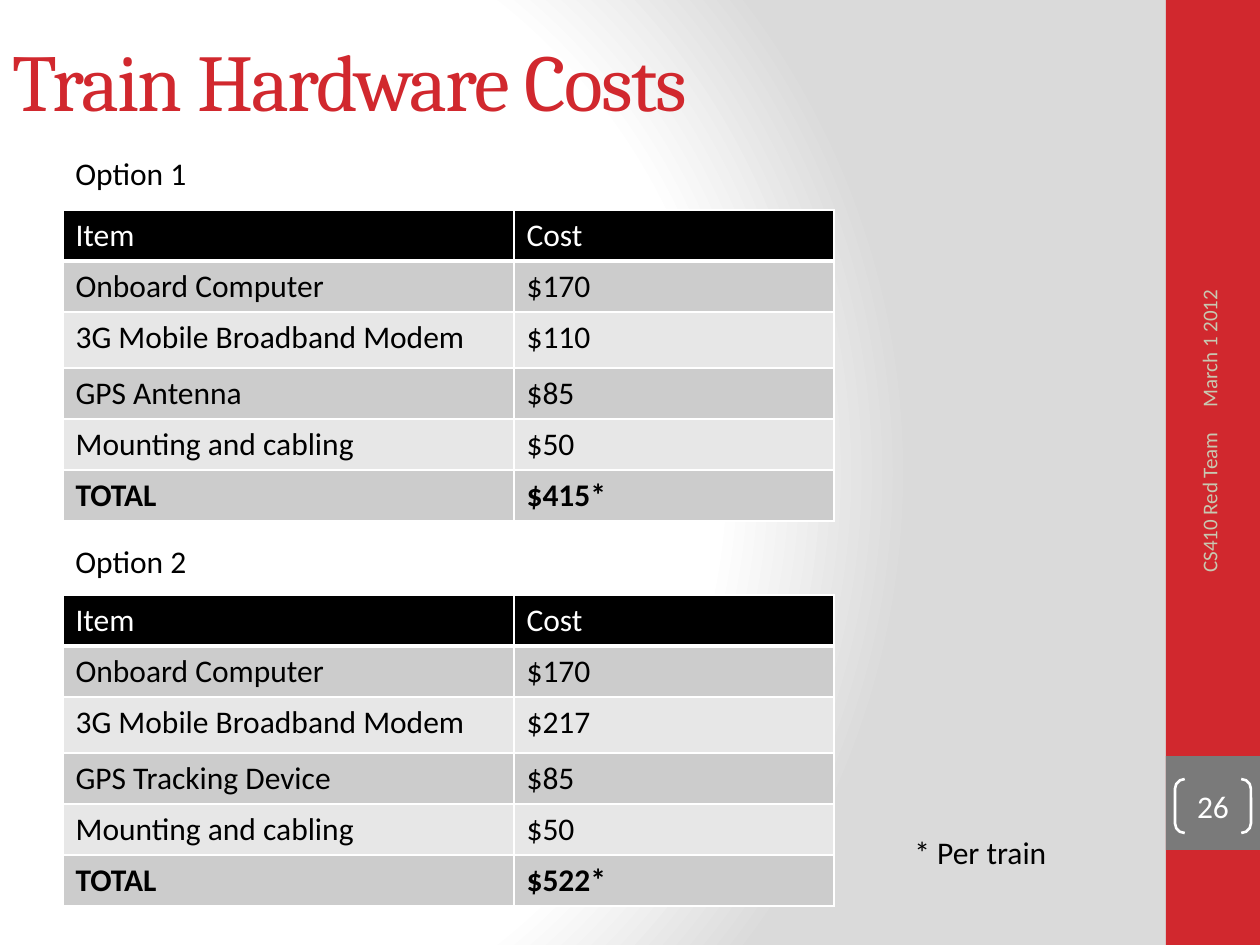
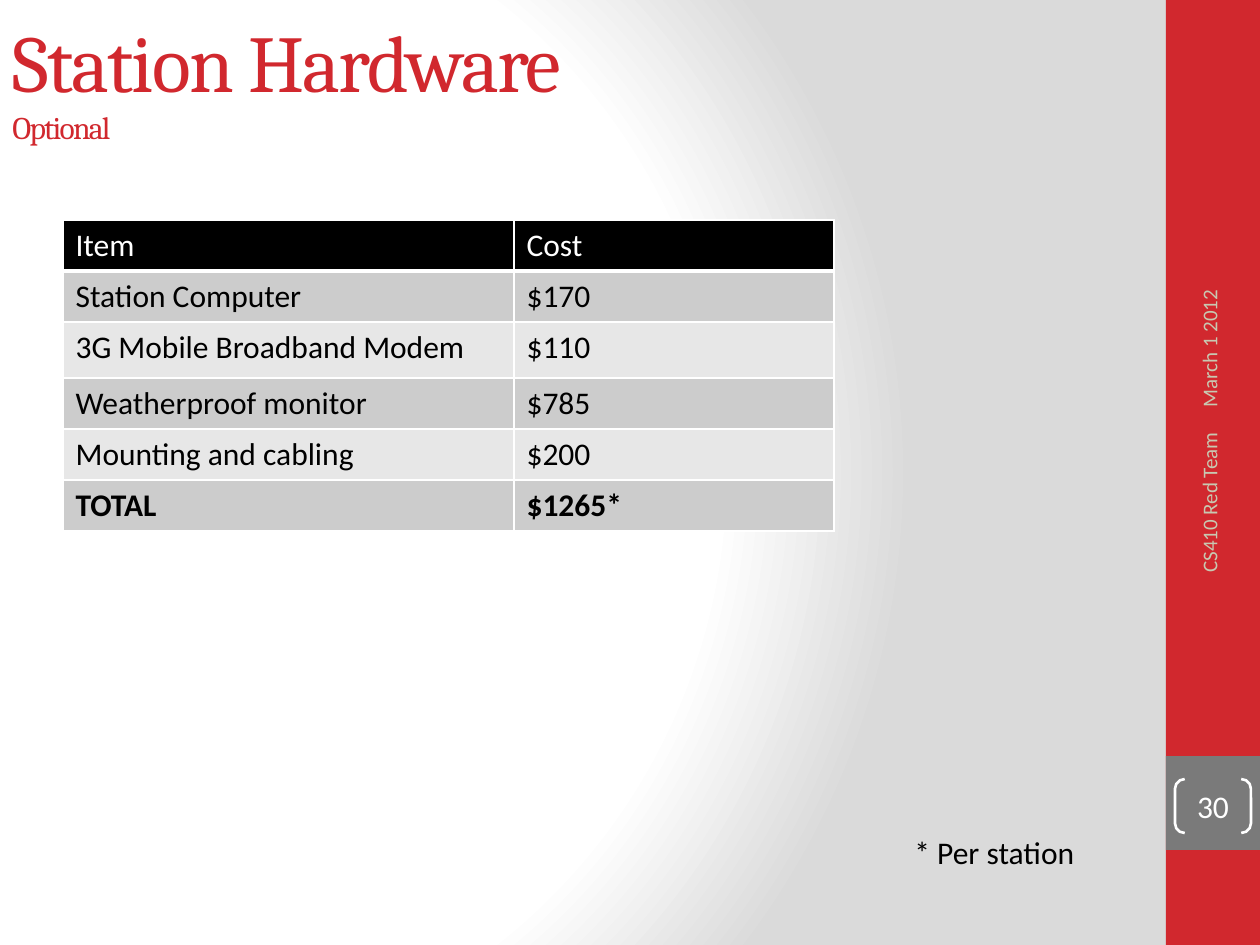
import lxml.etree
import pptx
import pptx.dml.color
import pptx.enum.shapes
import pptx.enum.text
import pptx.oxml.ns
import pptx.util

EMU_PER_PX = 914400 / 126
RED, GREY, BEIGE = "D1282E", "7A7A7A", "C8C8B1"
WHITE, BLACK = "FFFFFF", "000000"
ROW_FILLS = ["CCCCCC", "E7E7E7"]
BODY = {"name": "Calibri", "size": pptx.util.Pt(18)}
BOLD = {**BODY, "bold": True}
FOOTER = {**BODY, "size": pptx.util.Pt(12)}
TITLE = {"name": "Cambria", "size": pptx.util.Pt(46)}
SUBTITLE = {**TITLE, "size": pptx.util.Pt(18)}
MIDDLE = {"vertical_anchor": pptx.enum.text.MSO_ANCHOR.MIDDLE}
GROW = {"auto_size": pptx.enum.text.MSO_AUTO_SIZE.SHAPE_TO_FIT_TEXT}
NO_INSETS = dict.fromkeys(["margin_left", "margin_top", "margin_right", "margin_bottom"], 0)
COLUMN_WIDTHS = [451, 320]
ROW_HEIGHTS = [51, 51, 56, 51, 51, 51]


def px(length):
    return pptx.util.Emu(round(length * EMU_PER_PX))


def rgb(color):
    return pptx.dml.color.RGBColor.from_string(color)


def apply(target, values):
    for name, value in values.items():
        setattr(target, name, value)


def add_xml(parent, tag, **attributes):
    return lxml.etree.SubElement(parent, pptx.oxml.ns.qn(tag), attributes)


def write(paragraph, words, font, color, spacing=0):
    run = paragraph.add_run()
    run.text = words
    apply(run.font, font)
    run.font.color.rgb = rgb(color)
    if spacing:
        run.font._element.set("spc", str(spacing * 100))


def add_text(slide, box, words, font, color, frame_format, align=None, rotation=0):
    label = slide.shapes.add_textbox(*map(px, box))
    label.rotation = rotation
    frame = label.text_frame
    apply(frame, {"word_wrap": True, **frame_format})
    frame.paragraphs[0].alignment = align
    write(frame.paragraphs[0], words, font, color)


def add_title(slide, title, subtitle=None):
    heading = slide.shapes.add_textbox(0, 0, px(1050), px(158))
    apply(heading.text_frame, {"word_wrap": True, **MIDDLE})
    paragraph = heading.text_frame.paragraphs[0]
    write(paragraph, title, TITLE, RED, spacing=-1)
    if subtitle:
        paragraph.add_line_break()
        write(paragraph, subtitle, SUBTITLE, RED, spacing=-1)


def add_band(slide, box, color):
    band = slide.shapes.add_shape(pptx.enum.shapes.MSO_SHAPE.RECTANGLE, *map(px, box))
    band.shadow.inherit = False
    band.fill.solid()
    band.fill.fore_color.rgb = rgb(color)
    band.line.fill.background()


def add_page_number(slide, number):
    bracket = slide.shapes.add_shape(
        pptx.enum.shapes.MSO_SHAPE.DOUBLE_BRACKET, *map(px, (1175, 779, 76, 54)))
    bracket.shadow.inherit = False
    bracket.adjustments[0] = 0.18
    bracket.fill.background()
    bracket.line.color.rgb = rgb(WHITE)
    bracket.line.width = pptx.util.Pt(1.5)
    apply(bracket.text_frame, {"word_wrap": True, **MIDDLE, **NO_INSETS})
    paragraph = bracket.text_frame.paragraphs[0]
    paragraph.alignment = pptx.enum.text.PP_ALIGN.CENTER
    write(paragraph, str(number), BODY, WHITE)


def set_background(slide):
    slide.background.fill.gradient()
    gradient = slide.element.find(".//" + pptx.oxml.ns.qn("a:gradFill"))
    for part in list(gradient):
        gradient.remove(part)
    stops = add_xml(gradient, "a:gsLst")
    for percent, color in [(0, WHITE), (75, WHITE), (100, "DADADA")]:
        stop = add_xml(stops, "a:gs", pos=str(percent * 1000))
        add_xml(stop, "a:srgbClr", val=color)
    circle = add_xml(gradient, "a:path", path="circle")
    add_xml(circle, "a:fillToRect", l="20000", t="50000", r="100000", b="50000")


def add_border(cell, side, points):
    border = add_xml(cell._tc.get_or_add_tcPr(), side, w=str(pptx.util.Pt(points)))
    add_xml(add_xml(border, "a:solidFill"), "a:srgbClr", val=WHITE)


def add_cost_table(slide, top, items):
    rows = [("Item", "Cost"), *items]
    costs = slide.shapes.add_table(
        len(rows), len(COLUMN_WIDTHS), px(63), px(top),
        px(sum(COLUMN_WIDTHS)), px(sum(ROW_HEIGHTS))).table
    for column, width in zip(costs.columns, COLUMN_WIDTHS):
        column.width = px(width)
    for index, (row, height, entries) in enumerate(zip(costs.rows, ROW_HEIGHTS, rows)):
        row.height = px(height)
        is_header = index == 0
        font = BOLD if entries[0] == "TOTAL" else {**BODY, "bold": False}
        for cell, entry in zip(row.cells, entries):
            for side in ("a:lnL", "a:lnR", "a:lnT", "a:lnB"):
                add_border(cell, side, 3 if is_header and side == "a:lnB" else 1)
            cell.fill.solid()
            cell.fill.fore_color.rgb = rgb(BLACK if is_header else ROW_FILLS[(index - 1) % 2])
            write(cell.text_frame.paragraphs[0], entry, font, WHITE if is_header else BLACK)


def add_option(slide, number, label_top, table_top, items):
    add_text(slide, (63, label_top, 294, 50), f"Option {number}", BODY, BLACK, GROW)
    add_cost_table(slide, table_top, items)


def add_cost_slide(deck, number, unit):
    slide = deck.slides.add_slide(deck.slide_layouts[6])
    set_background(slide)
    add_band(slide, (1166, 0, 94, 945), RED)
    add_band(slide, (1166, 756, 94, 94), GREY)
    add_text(slide, (1041, 227, 336, 50), "March 1 2012", FOOTER, BEIGE, MIDDLE, rotation=270)
    add_text(slide, (1046, 558, 326, 50), "CS410 Red Team", FOOTER, BEIGE, MIDDLE,
             pptx.enum.text.PP_ALIGN.RIGHT, 270)
    add_page_number(slide, number)
    add_text(slide, (902, 827, 199, 53), f"* Per {unit}", BODY, BLACK, GROW)
    return slide


def main():
    deck = pptx.Presentation()
    deck.slide_width, deck.slide_height = px(1260), px(945)

    train = add_cost_slide(deck, 26, "train")
    add_title(train, "Train Hardware Costs")
    add_option(train, 1, 148, 210, [
        ("Onboard Computer", "$170"),
        ("3G Mobile Broadband Modem", "$110"),
        ("GPS Antenna", "$85"),
        ("Mounting and cabling", "$50"),
        ("TOTAL", "$415*"),
    ])
    add_option(train, 2, 536, 595, [
        ("Onboard Computer", "$170"),
        ("3G Mobile Broadband Modem", "$217"),
        ("GPS Tracking Device", "$85"),
        ("Mounting and cabling", "$50"),
        ("TOTAL", "$522*"),
    ])

    station = add_cost_slide(deck, 30, "station")
    add_title(station, "Station Hardware", "Optional")
    add_cost_table(station, 220, [
        ("Station Computer", "$170"),
        ("3G Mobile Broadband Modem", "$110"),
        ("Weatherproof monitor", "$785"),
        ("Mounting and cabling", "$200"),
        ("TOTAL", "$1265*"),
    ])

    deck.save("out.pptx")


if __name__ == "__main__":
    main()
